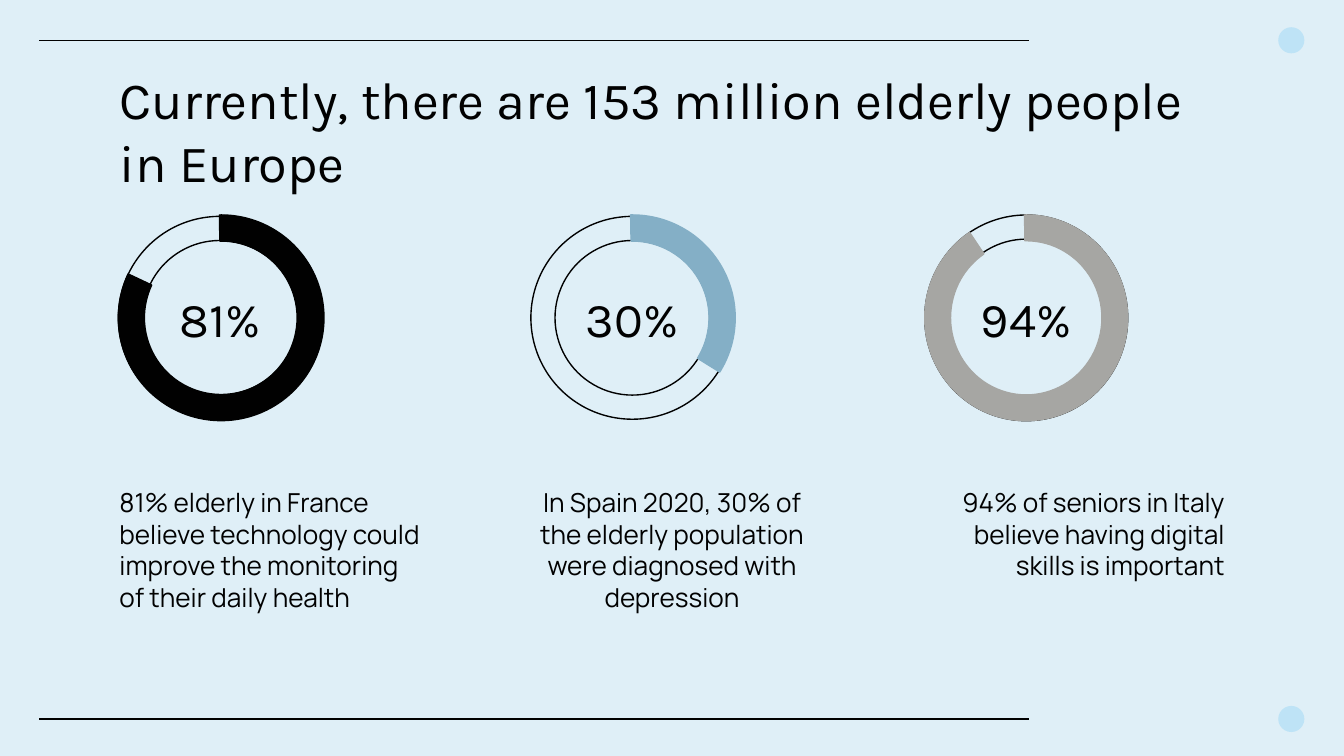
from lxml.etree import SubElement
from pptx import Presentation
from pptx.dml.color import RGBColor
from pptx.enum.shapes import MSO_CONNECTOR, MSO_SHAPE
from pptx.enum.text import MSO_ANCHOR, MSO_AUTO_SIZE, PP_ALIGN
from pptx.oxml.ns import qn
from pptx.util import Pt

COLORS = {
    "background": "DFEFF7",
    "ink": "010101",
    "dot": "BEE3F6",
    "blue": "84AFC6",
    "gray": "A6A6A3",
}
HEADING_FONT = "Karla"
BODY_FONT = "Manrope"


class SlideBuilder:
    def __init__(self, slide):
        self.slide = slide
        background = slide.background.fill
        background.solid()
        background.fore_color.rgb = self.color("background")

    def color(self, name):
        return RGBColor.from_string(COLORS[name])

    def format_text(self, holder, text, font, size, align, anchor, spacing=None):
        frame = holder.text_frame
        frame.text = text
        frame.word_wrap = True
        frame.auto_size = MSO_AUTO_SIZE.NONE
        frame.vertical_anchor = anchor
        frame.margin_left = frame.margin_right = Pt(7.2)
        frame.margin_top = frame.margin_bottom = Pt(7.2)
        paragraph = frame.paragraphs[0]
        paragraph.alignment = align
        if spacing:
            paragraph.line_spacing = Pt(spacing)
        paragraph.font.name = font
        paragraph.font.size = Pt(size)
        paragraph.font.color.rgb = self.color("ink")

    def title(self, text, left, top, width, height):
        heading = self.slide.shapes.title
        heading.left, heading.top = Pt(left), Pt(top)
        heading.width, heading.height = Pt(width), Pt(height)
        self.format_text(heading, text, HEADING_FONT, 28, PP_ALIGN.LEFT, MSO_ANCHOR.TOP)

    def text(self, text, box, *style):
        holder = self.slide.shapes.add_textbox(*map(Pt, box))
        self.format_text(holder, text, *style)

    def rule(self, left, right, y):
        line = self.slide.shapes.add_connector(
            MSO_CONNECTOR.STRAIGHT, Pt(left), Pt(y), Pt(right), Pt(y))
        line.line.color.rgb = self.color("ink")
        line.line.width = Pt(0.75)
        SubElement(line._element.spPr, qn("a:effectLst"))

    def shape(self, kind, box, fill=None, outline=None, adjustments=()):
        shape = self.slide.shapes.add_shape(kind, *map(Pt, box))
        shape.shadow.inherit = False
        for index, value in enumerate(adjustments):
            shape.adjustments[index] = value
        if fill:
            shape.fill.solid()
            shape.fill.fore_color.rgb = self.color(fill)
        else:
            shape.fill.background()
        if outline:
            shape.line.color.rgb = self.color(outline)
            shape.line.width = Pt(0.75)
        else:
            shape.line.fill.background()
        return shape

    def gauge(self, label, track, arc, arc_start, color):
        self.shape(MSO_SHAPE.DONUT, track, None, "ink", [0.119])
        progress = self.shape(
            MSO_SHAPE.BLOCK_ARC, arc, color, color, [arc_start, 162.57, 0.127])
        progress._element.spPr.find(qn("a:xfrm")).set("flipH", "1")
        width, height = 82, 31.7
        label_left = track[0] + (track[2] - width) / 2
        self.text(label, (label_left, 154.8, width, height),
                  HEADING_FONT, 26, PP_ALIGN.CENTER, MSO_ANCHOR.MIDDLE)


def main():
    deck = Presentation()
    deck.slide_width, deck.slide_height = Pt(720), Pt(405)
    builder = SlideBuilder(deck.slides.add_slide(deck.slide_layouts[5]))

    dot_size = 14
    for y in (21.6, 385.2):
        builder.rule(21, 551, y)
        builder.shape(MSO_SHAPE.OVAL, (684.8, y - dot_size / 2, dot_size, dot_size), "dot")

    builder.title("Currently, there are 153 million elderly people in Europe",
                  56.9, 28.8, 607, 45.4)

    gauges = [
        ("81%", (63.4, 115.9, 108.7, 108.7), (63.4, 115.2, 110.2, 110.2), 200.85, "ink"),
        ("30%", (284.4, 115.9, 108.7, 108.7), (283.7, 115.2, 110.2, 110.2), 88.89, "blue"),
        ("94%", (495.4, 115.2, 108.7, 110.2), (495.4, 115.2, 108.7, 110.2), 182.13, "gray"),
    ]
    for gauge in gauges:
        builder.gauge(*gauge)

    captions = [
        ("81% elderly in France believe technology could improve the monitoring "
         "of their daily health", PP_ALIGN.LEFT),
        ("In Spain 2020, 30% of the elderly population were diagnosed with depression",
         PP_ALIGN.CENTER),
        ("94% of seniors in Italy believe having digital skills is important",
         PP_ALIGN.RIGHT),
    ]
    for column, (caption, align) in enumerate(captions):
        builder.text(caption, (56.9 + 215 * column, 253.4, 176.4, 59.8),
                     BODY_FONT, 14, align, MSO_ANCHOR.TOP, 16.9)

    deck.save("out.pptx")


if __name__ == "__main__":
    main()
